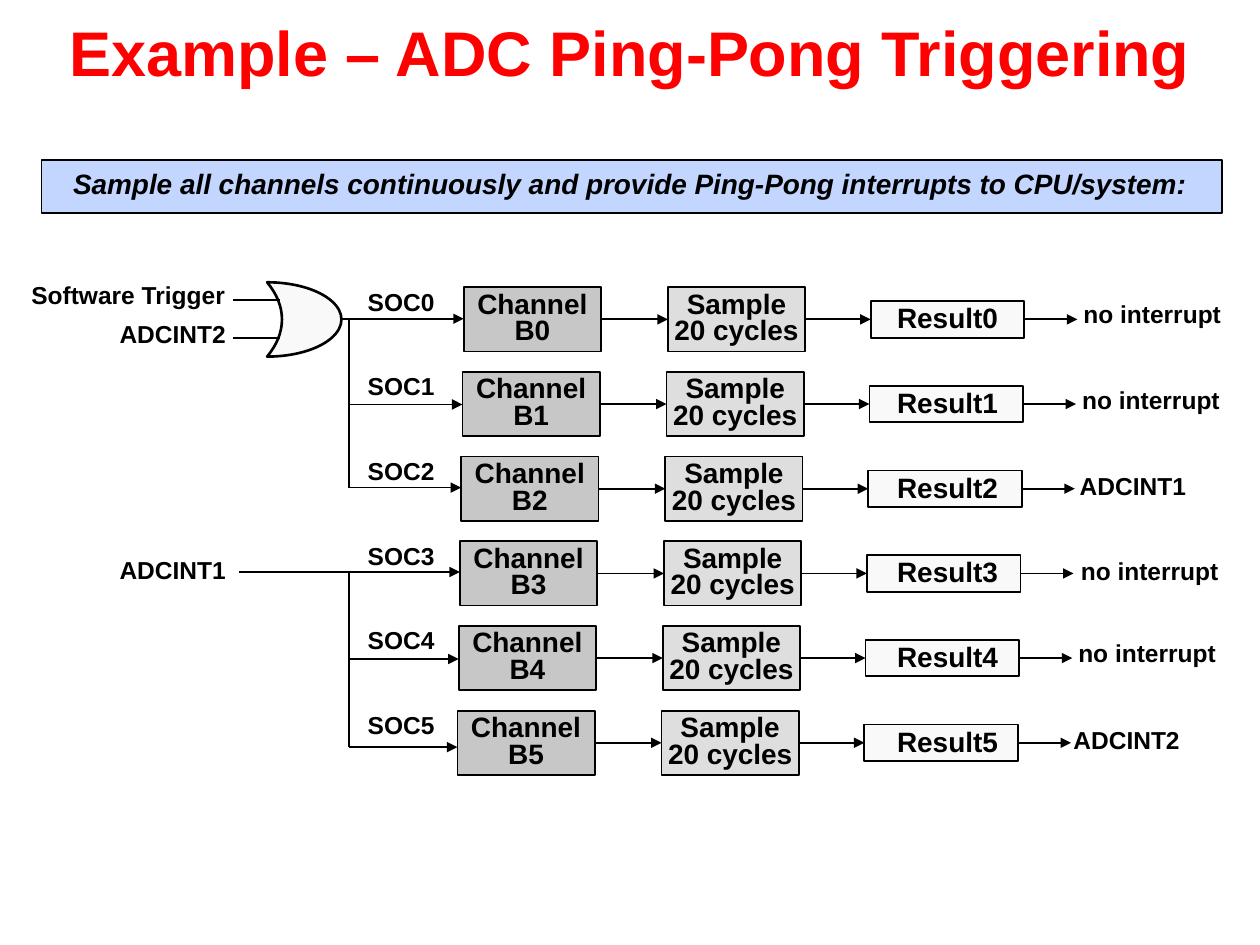
"""Build the ADC ping-pong triggering slide."""
from pptx import Presentation
from pptx.dml.color import RGBColor
from pptx.enum.shapes import MSO_CONNECTOR as CONNECTOR, MSO_SHAPE as SHAPE
from pptx.enum.text import MSO_ANCHOR as ANCHOR, PP_ALIGN as ALIGN
from pptx.oxml.ns import qn
from pptx.util import Inches, Pt
from lxml.etree import SubElement

BLACK = RGBColor(0x00, 0x00, 0x00)
RED = RGBColor(0xFF, 0x00, 0x00)
BANNER_BLUE = RGBColor(0xC2, 0xD6, 0xFF)
CHANNEL_GRAY = RGBColor(0xC7, 0xC7, 0xC7)
SAMPLE_GRAY = RGBColor(0xDE, 0xDE, 0xDE)
PALE = RGBColor(0xF9, 0xF9, 0xF9)

ROW_TOP, ROW_STEP, ROW_DRIFT = 2.28, 0.672, -0.01
BOX_WIDTH, BOX_HEIGHT = 1.09, 0.51
RESULT_WIDTH, RESULT_HEIGHT = 1.22, 0.29
BUS_X = 2.77

presentation = Presentation()
presentation.slide_width, presentation.slide_height = Inches(10), Inches(7.5)
slide = presentation.slides.add_slide(presentation.slide_layouts[5])


def write(shape, text, size, align, margins, anchor=ANCHOR.TOP, spacing=0.8):
    frame = shape.text_frame
    frame.text = text
    frame.word_wrap = False
    frame.vertical_anchor = anchor
    left, top, right, bottom = margins
    frame.margin_left, frame.margin_top = Inches(left), Inches(top)
    frame.margin_right, frame.margin_bottom = Inches(right), Inches(bottom)
    for paragraph in frame.paragraphs:
        paragraph.alignment = align
        paragraph.line_spacing = spacing
        font = paragraph.font
        font.name, font.size, font.bold = "Arial", Pt(size), True
        font.color.rgb = BLACK


def add_line(x1, y1, x2, y2, arrow=True):
    line = slide.shapes.add_connector(
        CONNECTOR.STRAIGHT, Inches(x1), Inches(y1), Inches(x2), Inches(y2))
    line.line.color.rgb = BLACK
    line.line.width = Pt(1)
    if arrow:
        SubElement(line.line._get_or_add_ln(), qn("a:tailEnd"), type="triangle")
    SubElement(line._element.spPr, qn("a:effectLst"))


title = slide.shapes.title
title.left, title.top = Inches(0), Inches(0)
title.width, title.height = Inches(10), Inches(0.81)
write(title, "Example – ADC Ping-Pong Triggering", 36, ALIGN.CENTER,
      (0.1, 0.05, 0.1, 0.05), ANCHOR.MIDDLE, 1.0)
title.text_frame.paragraphs[0].font.color.rgb = RED

boxes = [(SHAPE.RECTANGLE, 0.33, 1.27, 9.37, 0.42, BANNER_BLUE, 1,
          "Sample all channels continuously and provide Ping-Pong interrupts to CPU/system:",
          ALIGN.LEFT, (0.25, 0.05, 0, 0), ANCHOR.TOP, 1.0)]
labels = [("Software Trigger", 0.15, 2.22, 1.75),
          ("ADCINT2", 0.85, 2.53, 1.05),
          ("ADCINT1", 0.85, 4.4, 1.05)]
outcomes = [("no interrupt", 8.5, 2.37, 1.3),
            ("no interrupt", 8.49, 3.05, 1.3),
            ("ADCINT1", 8.47, 3.73, 1.05),
            ("no interrupt", 8.48, 4.41, 1.3),
            ("no interrupt", 8.46, 5.06, 1.3),
            ("ADCINT2", 8.42, 5.75, 1.05)]
triggers = [(2.69, 2.53), (BUS_X, 3.21), (BUS_X, 3.87),
            (1.9, 4.54), (BUS_X, 5.23), (BUS_X, 5.93)]

for row, (trigger_x, trigger_y) in enumerate(triggers):
    top = ROW_TOP + row * ROW_STEP
    middle = top + BOX_HEIGHT / 2
    channel_x, sample_x, result_x, outcome_x = (
        x + row * ROW_DRIFT for x in (3.68, 5.3, 6.91, 8.55))
    for x, color, text in ((channel_x, CHANNEL_GRAY, f"Channel\nB{row}"),
                           (sample_x, SAMPLE_GRAY, "Sample\n20 cycles")):
        boxes.append((SHAPE.RECTANGLE, x, top, BOX_WIDTH, BOX_HEIGHT, color, 1,
                      text, ALIGN.CENTER, (0, 0, 0, 0), ANCHOR.MIDDLE, 0.8))
    boxes.append((SHAPE.RECTANGLE, result_x, middle - RESULT_HEIGHT / 2,
                  RESULT_WIDTH, RESULT_HEIGHT, PALE, 1, f"Result{row}",
                  ALIGN.LEFT, (7.12 - result_x, 0.05, 0, 0), ANCHOR.TOP, 0.8))
    labels.append((f"SOC{row}", 2.82, top - 0.01, 0.74))
    add_line(trigger_x, trigger_y, channel_x, trigger_y)
    add_line(channel_x + BOX_WIDTH, middle, sample_x, middle)
    add_line(sample_x + BOX_WIDTH, middle, result_x, middle)
    add_line(result_x + RESULT_WIDTH, middle, outcome_x, middle)

boxes.append((SHAPE.MOON, 2.12, 2.24, 0.59, 0.59, PALE, 1.5, None,
              None, None, None, None))
for kind, x, y, width, height, color, weight, text, *style in boxes:
    box = slide.shapes.add_shape(
        kind, Inches(x), Inches(y), Inches(width), Inches(height))
    box.shadow.inherit = False
    box.fill.solid()
    box.fill.fore_color.rgb = color
    box.line.color.rgb = BLACK
    box.line.width = Pt(weight)
    if kind == SHAPE.MOON:
        box.adjustments[0] = 0.8
        box._element.spPr.xfrm.set("flipH", "1")
    else:
        write(box, text, 16, *style)
    if color == BANNER_BLUE:
        box.text_frame.paragraphs[0].font.italic = True

for text, x, y, width in labels + outcomes:
    label = slide.shapes.add_textbox(
        Inches(x), Inches(y), Inches(width), Inches(0.29))
    write(label, text, 14, ALIGN.LEFT, (0.1, 0.05, 0.1, 0.05))

for y in (2.38, 2.68):
    add_line(2.22, y, 1.85, y, arrow=False)
for first, last in ((0, 2), (3, 5)):
    add_line(BUS_X, triggers[last][1], BUS_X, triggers[first][1], arrow=False)

presentation.save("out.pptx")
